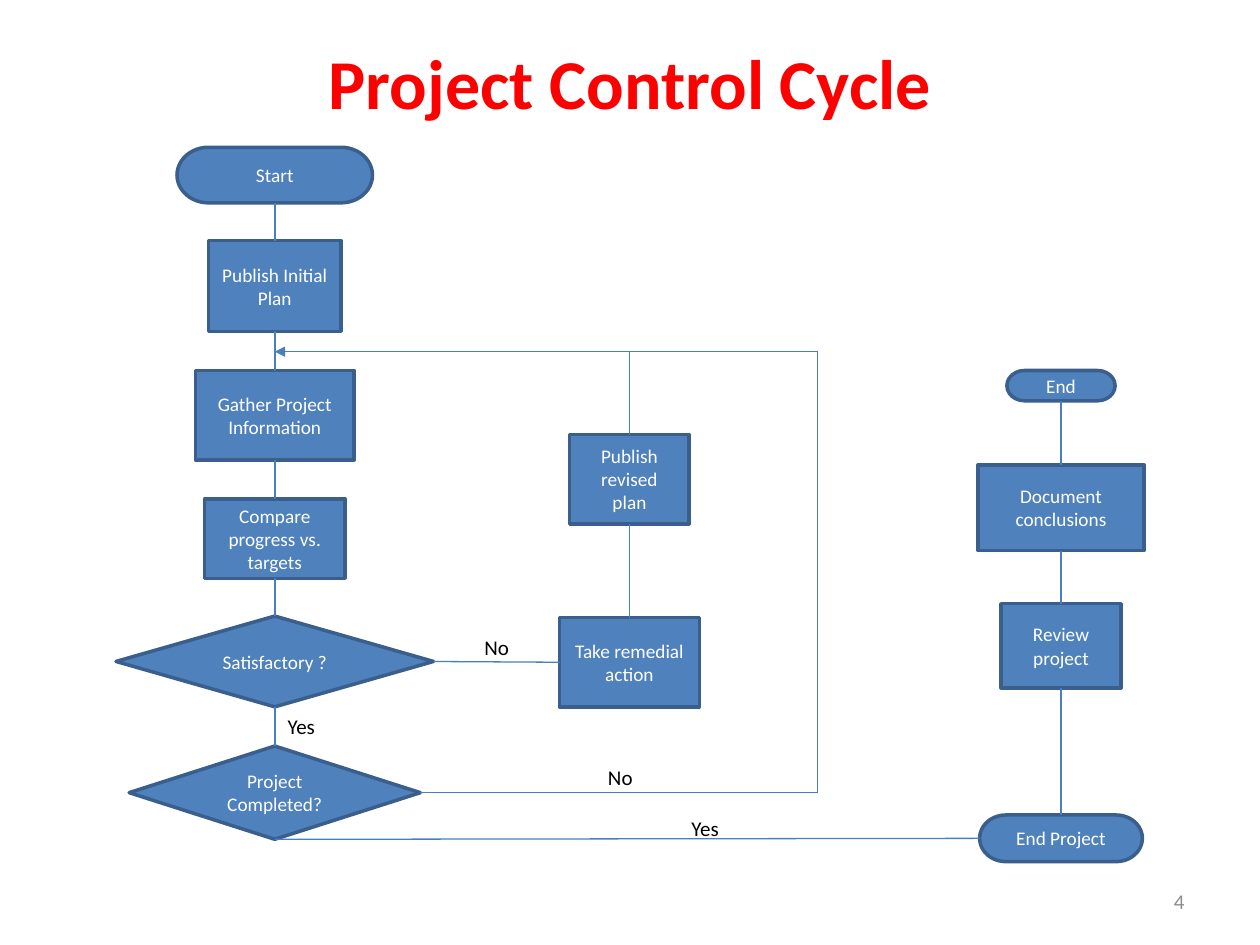
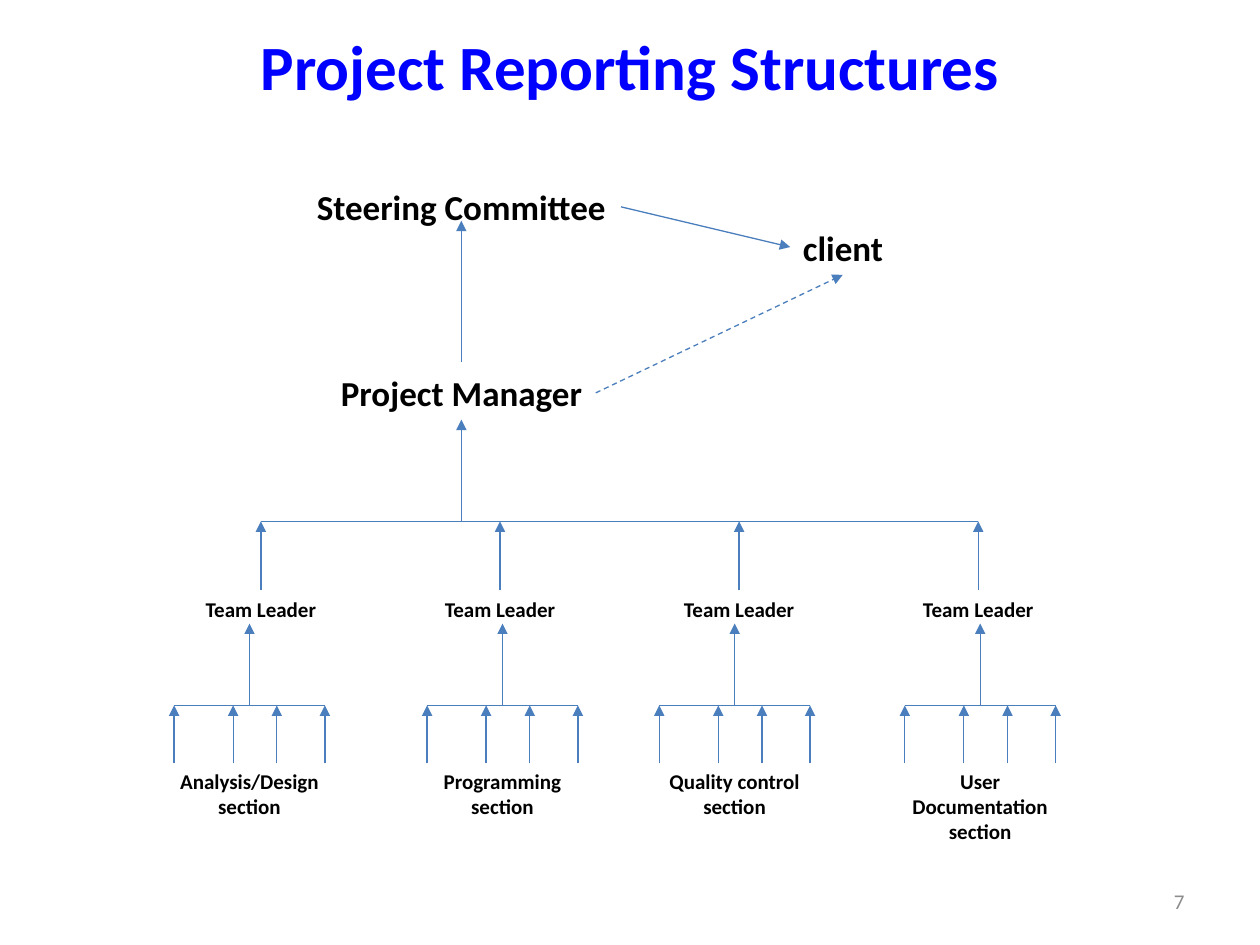
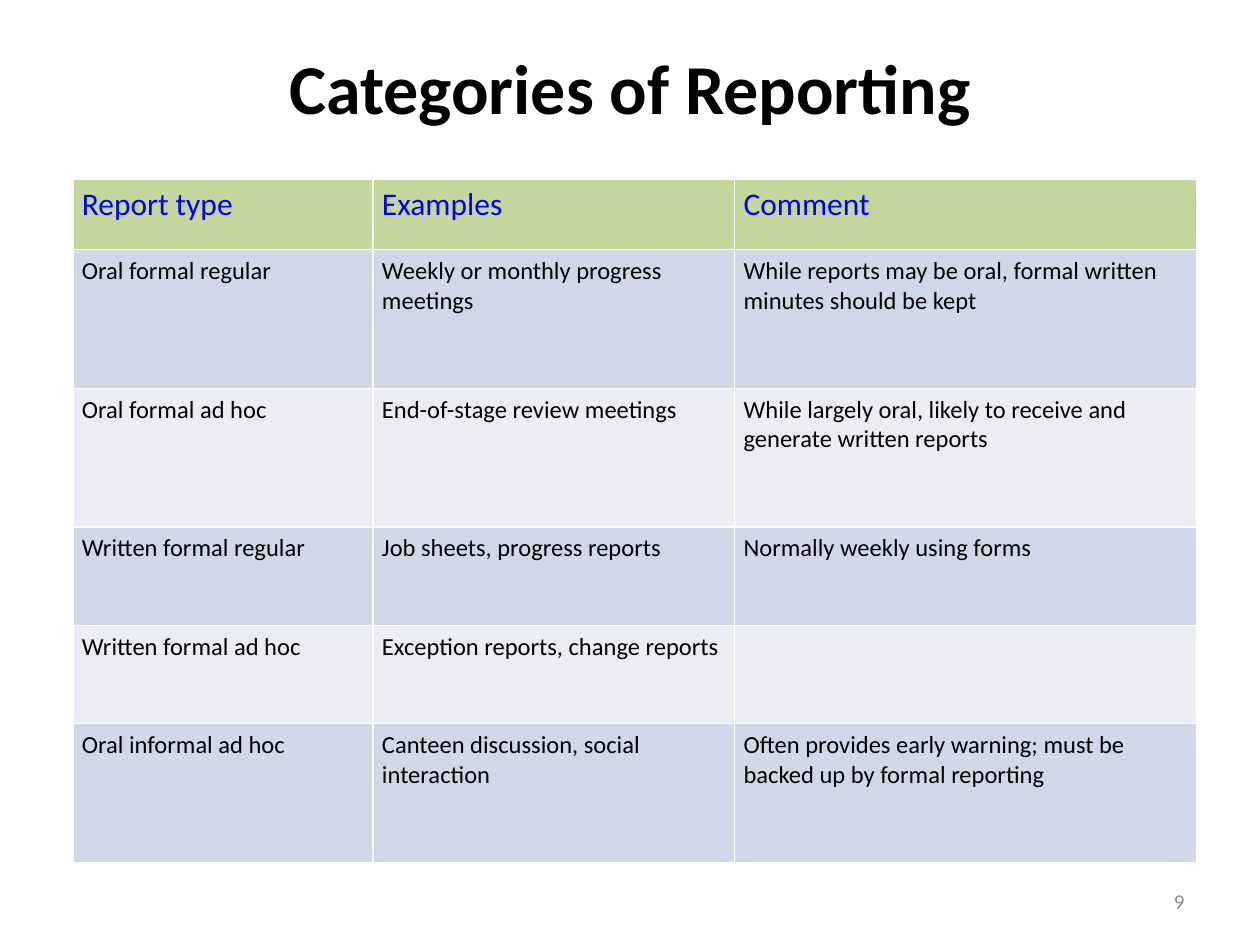
"""Build three slides on project control and reporting."""
from lxml import etree
from pptx import Presentation
from pptx.dml import color
from pptx.enum import dml, shapes, text
from pptx.oxml import ns
from pptx.util import Cm, Pt

HUES = {
    "red": "FF0000", "blue": "0000FF", "black": "000000", "white": "FFFFFF",
    "gray": "8C8C8C", "box": "4F81BD", "edge": "3A5F8C", "line": "4B7EBC",
    "head": "C3D69B", "dark": "D0D8E8", "light": "E9EDF4",
}
KINDS = {
    "pill": shapes.MSO_SHAPE.FLOWCHART_TERMINATOR,
    "rect": shapes.MSO_SHAPE.RECTANGLE,
    "diamond": shapes.MSO_SHAPE.DIAMOND,
}
TOP, LEFT, BOTTOM, RIGHT = range(4)
ALIGN = text.PP_ALIGN
MIDDLE = text.MSO_ANCHOR.MIDDLE


def hue(name):
    return color.RGBColor.from_string(HUES[name])


class Deck:
    """Hold the style and the current slide."""

    font = "Calibri"

    def __init__(self):
        self.prs = Presentation()
        self.prs.slide_width, self.prs.slide_height = Cm(25.4), Cm(19.05)
        self.slide = None

    def page(self, title, number, tint, size=40, top=0.76, high=1.78):
        self.slide = self.prs.slides.add_slide(self.prs.slide_layouts[6])
        self.label(title, 1.27, top, 22.86, high, size, tint, True, anchor=MIDDLE)
        self.label(number, 18.21, 17.65, 5.92, 1.02, 12, "gray",
                   align=ALIGN.RIGHT, anchor=MIDDLE)

    def style(self, frame, words, size, tint, bold=False, align=ALIGN.CENTER):
        frame.text = words
        for para in frame.paragraphs:
            para.alignment = align
            for run in para.runs:
                run.font.name, run.font.size = self.font, Pt(size)
                run.font.bold = bold
                run.font.color.rgb = hue(tint)

    def label(self, words, left, top, wide, high, size=12, tint="black",
              bold=False, align=ALIGN.CENTER, anchor=None):
        box = self.slide.shapes.add_textbox(Cm(left), Cm(top), Cm(wide), Cm(high))
        box.text_frame.word_wrap = anchor is not None
        box.text_frame.vertical_anchor = anchor
        self.style(box.text_frame, words, size, tint, bold, align)

    def node(self, kind, words, mid, top, wide, high):
        box = self.slide.shapes.add_shape(
            KINDS[kind], Cm(mid - wide / 2), Cm(top), Cm(wide), Cm(high))
        box.shadow.inherit = False
        box.fill.solid()
        box.fill.fore_color.rgb = hue("box")
        box.line.color.rgb = hue("edge")
        box.line.width = Pt(2)
        box.text_frame.word_wrap = True
        box.text_frame.vertical_anchor = MIDDLE
        self.style(box.text_frame, words, 11, "white")
        return box

    def chain(self, mid, steps, width=0.75):
        nodes = [self.node(kind, words, mid, *rest) for kind, words, *rest in steps]
        for upper, lower in zip(nodes, nodes[1:]):
            self.line((upper, BOTTOM), (lower, TOP), width)
        return nodes

    def line(self, start, end, width=0.75, arrow=False, dash=False):
        """Draw a line between points or (shape, side) pairs."""
        spots = [(0, 0) if hasattr(a, "shape_id") else (Cm(a), Cm(b))
                 for a, b in (start, end)]
        link = self.slide.shapes.add_connector(
            shapes.MSO_CONNECTOR.STRAIGHT, *spots[0], *spots[1])
        for place, join in ((start, link.begin_connect), (end, link.end_connect)):
            if hasattr(place[0], "shape_id"):
                join(*place)
        link.line.color.rgb = hue("line")
        link.line.width = Pt(width)
        if dash:
            link.line.dash_style = dml.MSO_LINE.DASH
        props = link.element.spPr
        if arrow:
            etree.SubElement(props.find(ns.qn("a:ln")), ns.qn("a:tailEnd"),
                             type="triangle")
        etree.SubElement(props, ns.qn("a:effectLst"))

    def cell(self, cell, words, size, tint, fill):
        cell.margin_left = cell.margin_right = Cm(0.18)
        cell.margin_top = cell.margin_bottom = Cm(0.13)
        self.style(cell.text_frame, words, size, tint, align=ALIGN.LEFT)
        props = cell._tc.get_or_add_tcPr()
        for side in "LRTB":
            edge = etree.SubElement(props, ns.qn(f"a:ln{side}"), w=str(Pt(1)))
            solid = etree.SubElement(edge, ns.qn("a:solidFill"))
            etree.SubElement(solid, ns.qn("a:srgbClr"), val=HUES["white"])
        cell.fill.solid()
        cell.fill.fore_color.rgb = hue(fill)

    def table(self, left, top, cols, rows, data):
        grid = self.slide.shapes.add_table(
            len(rows), len(cols), Cm(left), Cm(top),
            Cm(sum(cols)), Cm(sum(rows))).table
        grid.first_row = grid.horz_banding = False
        for col, wide in zip(grid.columns, cols):
            col.width = Cm(wide)
        for i, (row, high, line) in enumerate(zip(grid.rows, rows, data)):
            row.height = Cm(high)
            look = (14, "black", "dark" if i % 2 else "light")
            if i == 0:
                look = (18, "blue", "head")
            for cell, words in zip(row.cells, line):
                self.cell(cell, words, *look)


def cycle(deck):
    deck.page("Project Control Cycle", "4", "red")
    spine, fix, loop, back = 5.54, 12.69, 16.48, 7.09
    *_, check, done = deck.chain(spine, [
        ("pill", "Start", 2.97, 3.94, 1.12),
        ("rect", "Publish Initial Plan", 4.85, 2.67, 1.83),
        ("rect", "Gather Project Information", 7.47, 3.2, 1.8),
        ("rect", "Compare progress vs. targets", 10.06, 2.84, 1.6),
        ("diamond", "Satisfactory ?", 12.42, 6.4, 1.83),
        ("diamond", "Project Completed?", 15.04, 5.87, 1.88),
    ], 1.5)
    plan, action = deck.chain(fix, [
        ("rect", "Publish revised plan", 8.76, 2.41, 1.8),
        ("rect", "Take remedial action", 12.45, 2.82, 1.8),
    ])
    *_, close = deck.chain(21.39, [
        ("pill", "End", 7.47, 2.18, 0.61),
        ("rect", "Document conclusions", 9.37, 3.35, 1.73),
        ("rect", "Review\nproject", 12.17, 2.41, 1.7),
        ("pill", "End Project", 16.43, 3.28, 0.94),
    ])
    deck.line((check, RIGHT), (action, LEFT))
    deck.line((done, BOTTOM), (close, LEFT))
    deck.line((plan, TOP), (fix, back))
    deck.line((done, RIGHT), (loop, 15.98))
    deck.line((loop, back), (loop, 15.98))
    deck.line((loop, back), (spine, back), arrow=True)
    for words, left, top in (("No", 9.14, 12.67), ("No", 11.63, 15.29),
                             ("Yes", 5.2, 14.25), ("Yes", 13.34, 16.31)):
        deck.label(words, left, top, 1.75, 0.84)


def tree(deck):
    deck.page("Project Reporting Structures", "7", "blue", 36, 0.43)
    for words, left, top, wide in (("Steering Committee", 6.1, 3.61, 6.4),
                                   ("client", 15.93, 4.45, 2.13),
                                   ("Project Manager", 6.6, 7.37, 5.41)):
        deck.label(words, left, top, wide, 1.12, 20, bold=True)
    stem, bar, low = 9.3, 10.51, 14.22
    deck.line((stem, 7.29), (stem, 4.45), arrow=True)
    deck.line((12.52, 4.17), (15.93, 4.98), arrow=True)
    deck.line((12.01, 7.92), (16.99, 5.54), arrow=True, dash=True)
    deck.line((stem, bar), (stem, 8.46), arrow=True)
    heads = [5.26 + 4.82 * i for i in range(4)]
    deck.line((heads[0], bar), (heads[-1], bar))
    for mid in heads:
        deck.label("Team Leader", mid - 1.38, 11.91, 2.76, 0.76, bold=True)
        deck.line((mid, 11.9), (mid, bar), arrow=True)
    twigs = (-1.52, -0.33, 0.55, 1.52)
    for words, mid, wide in (("Analysis/Design\nsection", 5.03, 4.57),
                             ("Programming\nsection", 10.13, 3.99),
                             ("Quality control\nsection", 14.81, 4.34),
                             ("User\nDocumentation\nsection", 19.76, 4.5)):
        high = 0.28 + 0.56 * len(words.split("\n"))
        deck.label(words, mid - wide / 2, 15.37, wide, high, bold=True)
        deck.line((mid + twigs[0], low), (mid + twigs[-1], low))
        deck.line((mid, low), (mid, 12.57), arrow=True)
        for step in twigs:
            deck.line((mid + step, 15.39), (mid + step, low), arrow=True)


def kinds(deck):
    deck.page("Categories of Reporting", "9", "black", high=1.98)
    deck.table(1.47, 3.61, (6.05, 7.29, 9.32), (1.42, 2.8, 2.8, 1.98, 1.98, 2.8), (
        ("Report type", "Examples", "Comment"),
        ("Oral formal regular", "Weekly or monthly progress meetings",
         "While reports may be oral, formal written minutes should be kept"),
        ("Oral formal ad hoc", "End-of-stage review meetings",
         "While largely oral, likely to receive and generate written reports"),
        ("Written formal regular", "Job sheets, progress reports",
         "Normally weekly using forms"),
        ("Written formal ad hoc", "Exception reports, change reports", ""),
        ("Oral informal ad hoc", "Canteen discussion, social interaction",
         "Often provides early warning; must be backed up by formal reporting"),
    ))


def main():
    deck = Deck()
    for build in (cycle, tree, kinds):
        build(deck)
    deck.prs.save("out.pptx")


if __name__ == "__main__":
    main()
